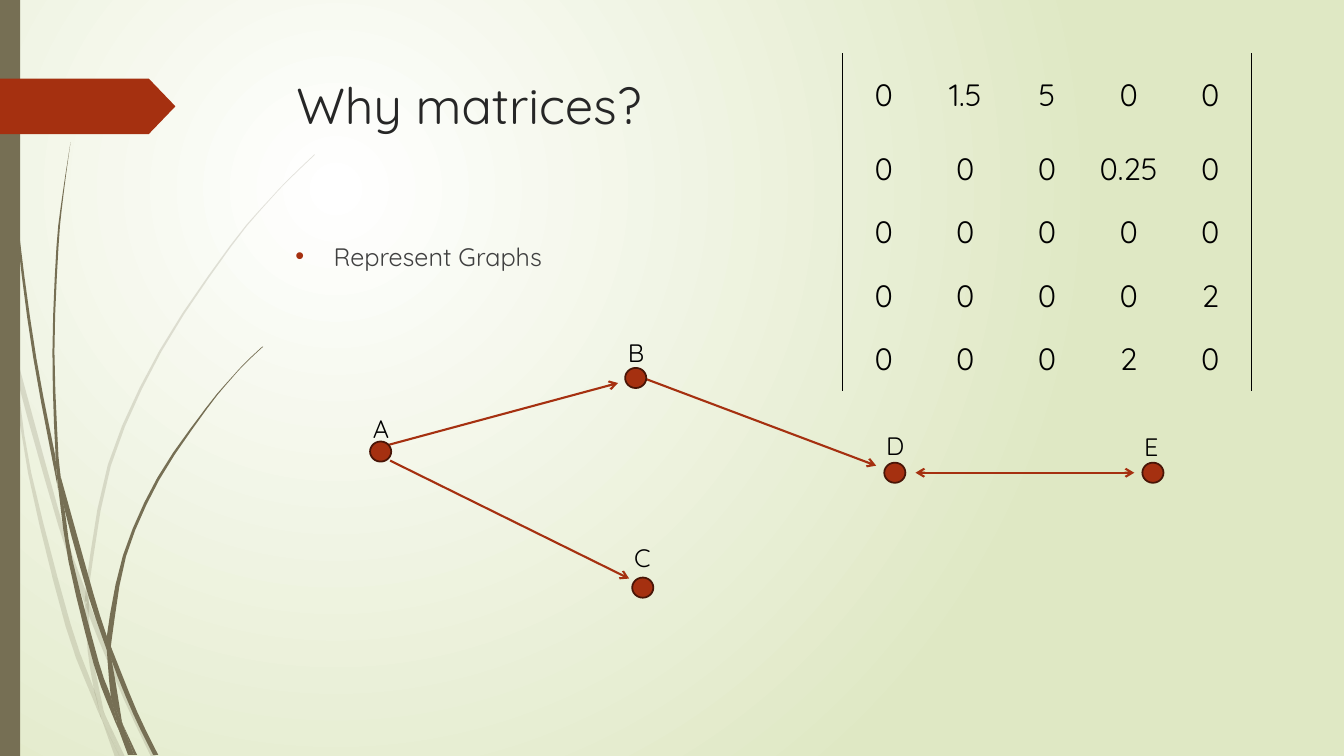
from lxml import etree
from pptx import Presentation, util as u
from pptx.dml.color import RGBColor
from pptx.enum import shapes, text
from pptx.oxml.ns import qn

COLORS = {"white": "FFFFFF", "mist": "DFE8C4", "olive": "766F54", "rust": "A53010",
          "rust_dark": "481507", "title": "262626", "body": "404040", "black": "000000"}
FONT = "Quicksand"

# Each piece of grass: one edge, then the other edge back to the start
PALE_GRASS = [
    ([(.11, 3.5), (.09, 3.22), (0, 2.82)], [(0, 2.99), (.1, 3.44), (.11, 3.5)]),
    ([(.14, 3.45), (.17, 3.76), (.58, 5.22), (.84, 5.99)], [(.85, 5.86), (.62, 5.2), (.14, 3.45)]),
    ([(.88, 5.96), (.88, 6.1), (1.23, 6.94), (1.5, 7.51)], [(1.55, 7.51), (1.27, 6.92), (.92, 6.07), (.88, 5.96)]),
    ([(1.05, 7.11), (1.19, 7.51)], [(1.24, 7.51), (1.05, 7.11)]),
    ([(.11, 3.5), (.28, 4.7), (.65, 6.21), (.92, 6.93), (1.01, 7.14)],
     [(.99, 7.07), (.93, 6.83), (.7, 6.19), (.31, 4.69), (.17, 3.76), (.11, 3.5)]),
    ([(.84, 5.99), (.87, 6.46), (.93, 6.83), (.96, 6.92), (1.05, 7.11)],
     [(1.03, 7.06), (.91, 6.46), (.88, 6.1), (.84, 5.99)]),
    ([(3.12, 1.53), (2.89, 1.75), (2.68, 1.97), (2.28, 2.44), (1.58, 3.48), (1.07, 4.61), (.85, 5.84), (.88, 5.96)],
     [(.88, 5.84), (1.1, 4.62), (1.6, 3.49), (2.29, 2.45), (2.68, 1.98), (2.9, 1.75), (3.12, 1.54)]),
    ([(1.01, 7.14), (1.14, 7.51)], [(1.19, 7.51), (1.01, 7.14)]),
    ([(.88, 6.1), (.88, 5.96), (.85, 5.86)], [(.84, 5.99), (.88, 6.08)]),
    ([(.93, 6.83), (.99, 7.07), (1.01, 7.14), (1.19, 7.51)], [(1.05, 7.11), (.96, 6.92), (.93, 6.83)]),
]
DARK_GRASS = [
    ([(.03, 0), (.04, .48), (.07, 1.1), (.17, 2.33), (.33, 3.55), (.56, 4.77), (.57, 4.81)],
     [(.55, 4.53), (.36, 3.55), (.19, 2.32), (.08, 1.09), (.05, .48), (.04, 0)]),
    ([(.6, 4.72), (.64, 5.05), (.88, 5.92), (1.06, 6.45)], [(1.06, 6.31), (.93, 5.9), (.6, 4.72)]),
    ([(1.1, 6.41), (1.11, 6.56), (1.32, 7.08), (1.52, 7.49)], [(1.57, 7.49), (1.36, 7.06), (1.13, 6.49), (1.1, 6.41)]),
    ([(.57, 4.77), (.68, 5.57), (.93, 6.59), (1.11, 7.08), (1.17, 7.22)],
     [(1.16, 7.17), (1.1, 6.91), (.98, 6.57), (.72, 5.56), (.64, 5.05), (.57, 4.77)]),
    ([(.7, 1.41), (.62, 1.93), (.56, 2.45), (.52, 3.49), (.55, 4.49), (.6, 4.72)],
     [(.58, 4.53), (.54, 3.49), (.58, 2.45), (.63, 1.93), (.7, 1.41)]),
    ([(1.22, 7.19), (1.33, 7.49)], [(1.36, 7.49), (1.22, 7.19)]),
    ([(.55, 4.49), (.57, 4.77), (.64, 5.05)], [(.6, 4.72), (.55, 4.49)]),
    ([(2.6, 3.44), (2.45, 3.58), (2.31, 3.73), (2.04, 4.05), (1.56, 4.74), (1.22, 5.51), (1.06, 6.31), (1.1, 6.41)],
     [(1.11, 6.33), (1.25, 5.52), (1.58, 4.76), (2.05, 4.06), (2.31, 3.74), (2.45, 3.59), (2.61, 3.44)]),
    ([(1.17, 7.22), (1.27, 7.49)], [(1.31, 7.49), (1.17, 7.22)]),
    ([(1.06, 6.45), (1.1, 6.91), (1.16, 7.06), (1.22, 7.19)], [(1.21, 7.16), (1.11, 6.56), (1.06, 6.45)]),
    ([(1.06, 6.45), (1.09, 6.51), (1.11, 6.56)], [(1.1, 6.41), (1.06, 6.31)]),
    ([(1.1, 6.91), (1.16, 7.17), (1.17, 7.22), (1.3, 7.49)], [(1.33, 7.49), (1.22, 7.19), (1.16, 7.06), (1.1, 6.91)]),
]

# Graph, relative to its box: node place, label place and label width
NODES = {
    "A": ((.07, 1.08), (0, .75), .39),
    "B": ((2.6, .35), (2.53, 0), .35),
    "C": ((2.67, 2.43), (2.59, 2.03), .41),
    "D": ((5.17, 1.29), (5.09, .92), .39),
    "E": ((7.73, 1.29), (7.65, .93), .34),
}
# Start, end, and which ends carry an arrowhead
EDGES = [
    ((.23, 1.12), (2.53, .5), ["tailEnd"]),
    ((2.78, .45), (5.09, 1.32), ["tailEnd"]),
    ((.27, 1.27), (2.64, 2.44), ["tailEnd"]),
    ((5.48, 1.39), (7.65, 1.39), ["headEnd", "tailEnd"]),
]
MATRIX = ["0 1.5 5 0 0", "0 0 0 0.25 0", "0 0 0 0 0", "0 0 0 0 2", "0 0 0 2 0"]


def color(name):
    return RGBColor.from_string(COLORS[name])


def paint(shape, fill, line=None):
    shape.shadow.inherit = False
    shape.fill.solid()
    shape.fill.fore_color.rgb = color(fill)
    if line:
        shape.line.color.rgb = color(line)
        shape.line.width = u.Pt(1.25)
    else:
        shape.line.fill.background()


def write(paragraph, words, size, ink):
    run = paragraph.add_run()
    run.text = words
    for name, value in {"name": FONT, "size": u.Pt(size)}.items():
        setattr(run.font, name, value)
    run.font.color.rgb = color(ink)


def add_text(slide, box, words, size, ink, wrap=True):
    frame = slide.shapes.add_textbox(*map(u.Inches, box)).text_frame
    fit = text.MSO_AUTO_SIZE.NONE if wrap else text.MSO_AUTO_SIZE.SHAPE_TO_FIT_TEXT
    for name, value in {"word_wrap": wrap, "auto_size": fit}.items():
        setattr(frame, name, value)
    write(frame.paragraphs[0], words, size, ink)
    return frame.paragraphs[0]


def add_background(slide):
    fill = slide.background.fill
    fill.gradient()
    for stop, position, name in zip(fill.gradient_stops, (0, 1), ("white", "mist")):
        stop.position = position
        stop.color.rgb = color(name)
    gradient = slide.element.find(".//" + qn("a:gradFill"))
    gradient.remove(gradient.find(qn("a:lin")))
    circle = etree.SubElement(gradient, qn("a:path"), path="circle")
    etree.SubElement(circle, qn("a:fillToRect"), l="50000", t="50000", r="100000", b="100000")


def smooth(points, steps=3):
    """Catmull-Rom curve through the points."""
    padded = [points[0], *points, points[-1]]
    curve = []
    for a, b, c, d in zip(padded, padded[1:], padded[2:], padded[3:]):
        for t in (step / steps for step in range(steps)):
            curve.append(tuple(
                b[i] + t / 2 * (c[i] - a[i] + t * (2 * a[i] - 5 * b[i] + 4 * c[i] - d[i]
                                + t * (3 * b[i] - a[i] - 3 * c[i] + d[i])))
                for i in (0, 1)))
    return curve + [points[-1]]


def add_grass(slide, left, top, pieces, opacity=100):
    for one_edge, other_edge in pieces:
        outline = smooth(one_edge) + smooth(other_edge)
        points = [(u.Inches(left + x), u.Inches(top + y)) for x, y in outline]
        builder = slide.shapes.build_freeform(*points[0])
        builder.add_line_segments(points[1:])
        blade = builder.convert_to_shape()
        paint(blade, "olive")
        if opacity < 100:
            tint = blade.element.spPr.find(qn("a:solidFill"))[0]
            etree.SubElement(tint, qn("a:alpha"), val=str(opacity * 1000))


def add_side_decoration(slide, left, top, height):
    add_grass(slide, left, top, PALE_GRASS, 20)
    add_grass(slide, left, top, DARK_GRASS)
    kinds = shapes.MSO_SHAPE
    bar = slide.shapes.add_shape(kinds.RECTANGLE, *map(u.Inches, (left, top, .2, height)))
    paint(bar, "olive")
    marker = slide.shapes.add_shape(kinds.PENTAGON, *map(u.Inches, (left, top + .78, 1.74, .55)))
    marker.adjustments[0] = .48
    paint(marker, "rust")


def add_heading(slide, left, top, width):
    add_text(slide, (left, top, width, 1.4), "Why matrices?", 36, "title")
    point = add_text(slide, (left - .01, top + 1.65, width, 4.13), "Represent Graphs", 18, "body")
    point.space_before = u.Pt(10)
    properties = point._p.get_or_add_pPr()
    properties.set("marL", str(u.Inches(.38)))
    properties.set("indent", str(u.Inches(-.38)))
    bullet_color = etree.SubElement(properties, qn("a:buClr"))
    etree.SubElement(bullet_color, qn("a:srgbClr"), val=COLORS["rust"])
    etree.SubElement(properties, qn("a:buFont"), typeface="Arial")
    etree.SubElement(properties, qn("a:buChar"), char="•")


def add_graph(slide, left, top):
    for start, end, heads in EDGES:
        ends = [u.Inches(v) for x, y in (start, end) for v in (left + x, top + y)]
        edge = slide.shapes.add_connector(shapes.MSO_CONNECTOR.STRAIGHT, *ends)
        edge.line.color.rgb = color("rust")
        edge.line.width = u.Pt(1.5)
        for head in heads:
            etree.SubElement(edge.line._get_or_add_ln(), qn("a:" + head), type="arrow")
        etree.SubElement(edge._element.spPr, qn("a:effectLst"))
    for label, ((x, y), (label_x, label_y), width) in NODES.items():
        box = map(u.Inches, (left + x, top + y, .21, .2))
        paint(slide.shapes.add_shape(shapes.MSO_SHAPE.OVAL, *box), "rust", "rust_dark")
        add_text(slide, (left + label_x, top + label_y, width, .4), label, 18, "black", wrap=False)


def add_matrix(slide, left, top, width, height):
    size = len(MATRIX)
    frame = slide.shapes.add_table(size, size, *map(u.Inches, (left, top, width, height)))
    table = frame.table
    table.first_row = table.horz_banding = False
    # Plain style without grid lines
    style = frame._element.find(".//" + qn("a:tableStyleId"))
    style.text = "{2D5ABB26-0587-4C30-8999-92F81FD0307C}"
    for index, row in enumerate(table.rows):
        row.height = u.Inches(.63 if index else height - .63 * (size - 1))
    for column in table.columns:
        column.width = u.Inches(width / size)
    sides = {0: "a:lnL", size - 1: "a:lnR"}
    for i, values in enumerate(MATRIX):
        for j, value in enumerate(values.split()):
            cell = table.cell(i, j)
            cell.fill.background()
            cell.vertical_anchor = text.MSO_ANCHOR.MIDDLE
            paragraph = cell.text_frame.paragraphs[0]
            paragraph.alignment = text.PP_ALIGN.CENTER
            write(paragraph, value, 22, "black")
            if j in sides:
                border = etree.Element(qn(sides[j]), w=str(u.Pt(1)))
                ink = etree.SubElement(border, qn("a:solidFill"))
                etree.SubElement(ink, qn("a:srgbClr"), val=COLORS["black"])
                cell._tc.get_or_add_tcPr().insert(0, border)


def main():
    presentation = Presentation()
    presentation.slide_width, presentation.slide_height = u.Inches(13.33), u.Inches(7.5)
    slide = presentation.slides.add_slide(presentation.slide_layouts[6])
    add_background(slide)
    add_side_decoration(slide, 0, 0, 7.5)
    add_heading(slide, 2.84, .69, 9.75)
    add_graph(slide, 3.6, 3.3)
    add_matrix(slide, 8.36, .53, 4.05, 3.35)
    presentation.save("out.pptx")


if __name__ == "__main__":
    main()
